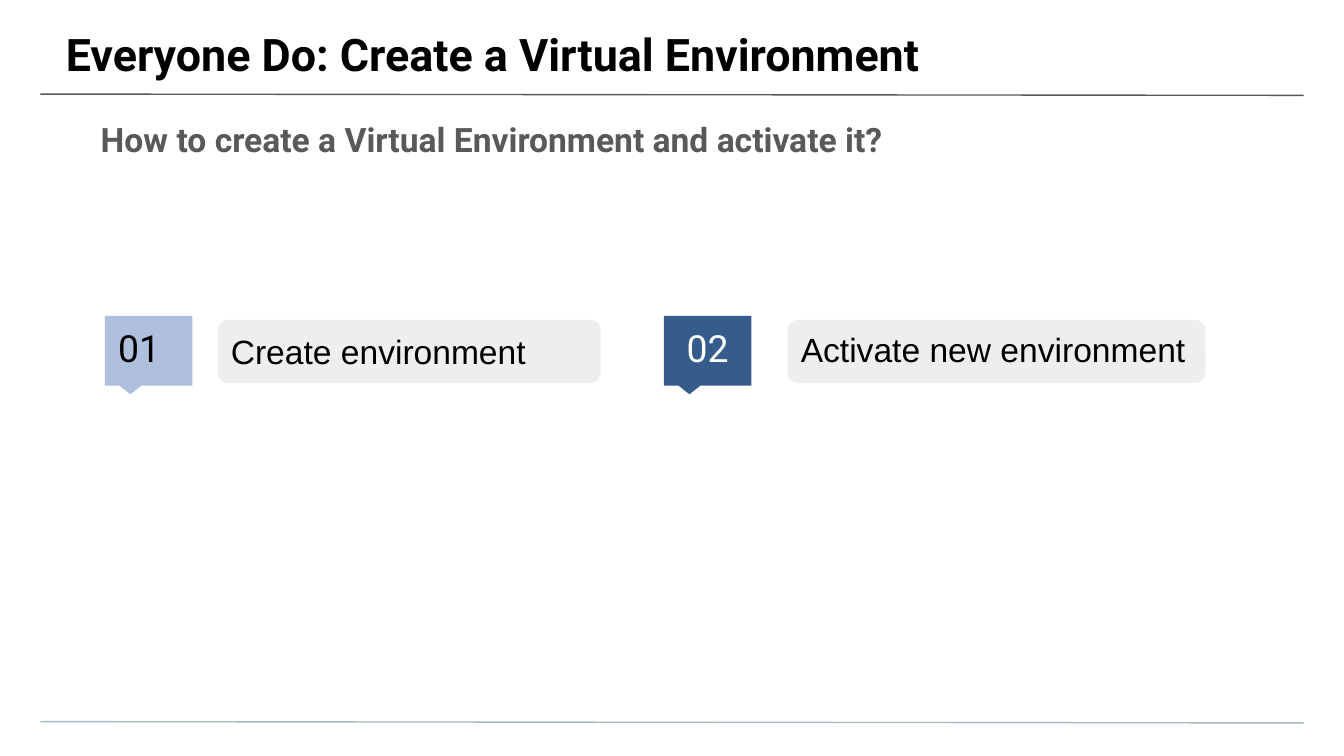
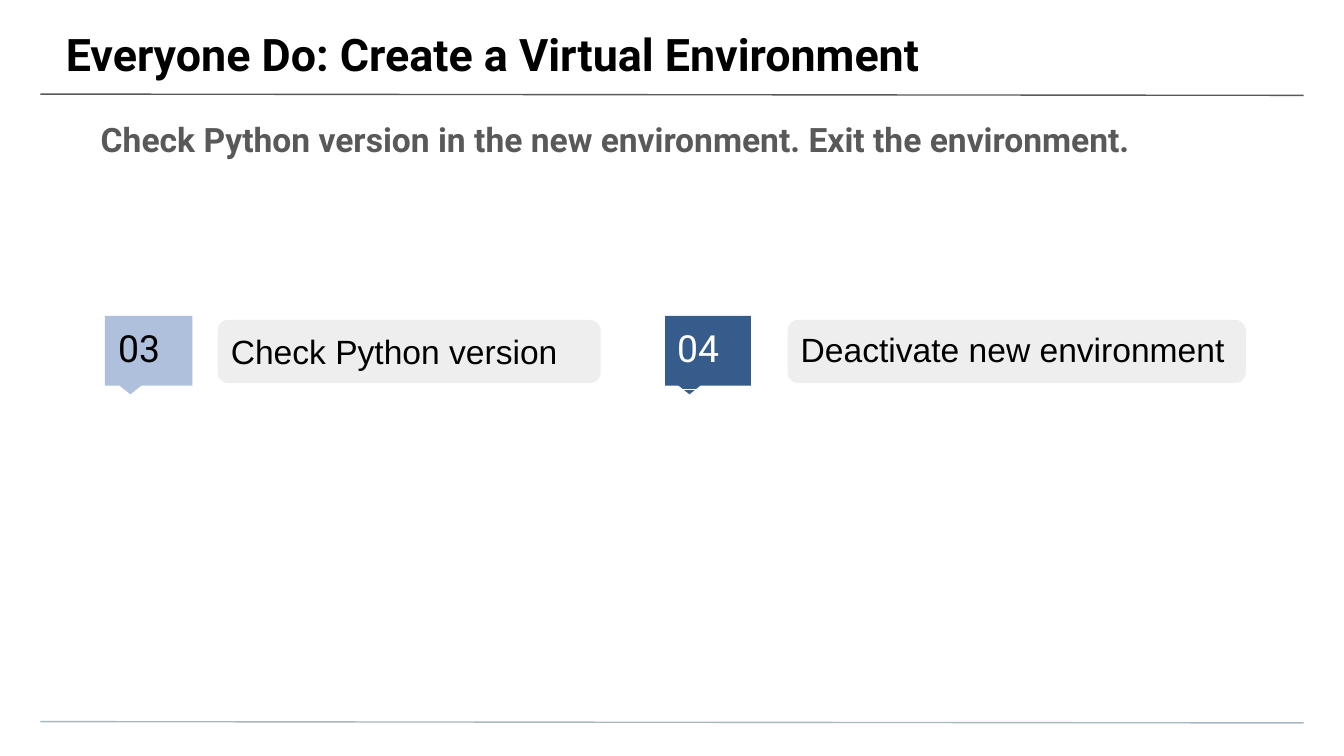
from dataclasses import dataclass
from typing import Any

import pptx
import pptx.dml.color
import pptx.enum.shapes
import pptx.enum.text
import pptx.oxml.ns
import pptx.util
from lxml import etree

Pt = pptx.util.Pt
ANCHOR = pptx.enum.text.MSO_ANCHOR
SHAPE = pptx.enum.shapes.MSO_SHAPE


# Look shared by both slides
@dataclass(frozen=True)
class Theme:
    black: str = "000000"
    white: str = "FFFFFF"
    grey: str = "595959"
    footer_rule: str = "A9B7C0"
    label_fill: str = "EEEEEE"
    pale_blue: str = "AFC0DC"
    deep_blue: str = "365C8B"
    heading_font: str = "Roboto"
    label_font: str = "Arial"
    title_size: float = 24
    number_size: float = 20
    body_size: float = 18
    rule_width: float = 0.75


THEME = Theme()
TITLE = "Everyone Do: Create a Virtual Environment"


@dataclass(frozen=True)
class Box:
    """Left, top, width and height in points."""
    left: float
    top: float
    width: float
    height: float

    def lengths(self) -> tuple[Any, ...]:
        return Pt(self.left), Pt(self.top), Pt(self.width), Pt(self.height)


@dataclass(frozen=True)
class Column:
    """Place and colours of one step."""
    callout_left: float
    label_left: float
    fill: str
    number_color: str
    label_anchor: Any


@dataclass(frozen=True)
class Step:
    number: str
    label: str
    label_width: float
    text_width: float
    number_box: Box
    outlined: bool = False


@dataclass(frozen=True)
class Page:
    question: str
    steps: tuple[Step, Step]


COLUMNS = (
    Column(56.2, 116.6, THEME.pale_blue, THEME.black, ANCHOR.MIDDLE),
    Column(355.7, 421.9, THEME.deep_blue, THEME.white, ANCHOR.TOP),
)

PAGES = (
    Page("How to create a Virtual Environment and activate it?", (
        Step("01", "Create environment", 205.2, 247.7, Box(56.2, 167, 37.4, 37.4)),
        Step("02", "Activate new environment", 223.9, 277.2, Box(360.7, 167, 37.4, 41.8)),
    )),
    Page("Check Python version in the new environment. Exit the environment.", (
        Step("03", "Check Python version", 205.2, 240.5, Box(56.2, 167, 46.8, 41.8)),
        Step("04", "Deactivate new environment", 245.5, 313.9,
             Box(355.7, 167, 46.8, 41.8), outlined=True),
    )),
)


def rgb(color: str) -> pptx.dml.color.RGBColor:
    return pptx.dml.color.RGBColor.from_string(color)


def add_text(slide: Any, text: str, box: Box, *, size: float, color: str, font: str,
             bold: bool = False, anchor: Any = ANCHOR.TOP, line_spacing: float = 1.0,
             insets: tuple[float, float, float, float] = (7.2, 7.2, 7.2, 7.2)) -> Any:
    """Insets run left, top, right, bottom."""
    text_box = slide.shapes.add_textbox(*box.lengths())
    frame = text_box.text_frame
    frame.word_wrap = True
    frame.auto_size = pptx.enum.text.MSO_AUTO_SIZE.NONE
    frame.vertical_anchor = anchor
    frame.margin_left, frame.margin_top, frame.margin_right, frame.margin_bottom = map(Pt, insets)
    paragraph = frame.paragraphs[0]
    paragraph.line_spacing = line_spacing
    run = paragraph.add_run()
    run.text = text
    run.font.name = font
    run.font.size = Pt(size)
    run.font.bold = bold
    run.font.color.rgb = rgb(color)
    return text_box


def add_panel(slide: Any, kind: Any, box: Box, fill: str, adjustments: tuple[float, ...]) -> None:
    panel = slide.shapes.add_shape(kind, *box.lengths())
    panel.shadow.inherit = False
    panel.fill.solid()
    panel.fill.fore_color.rgb = rgb(fill)
    panel.line.fill.background()
    for index, value in enumerate(adjustments):
        panel.adjustments[index] = value


def add_rule(slide: Any, top: float, color: str) -> None:
    rule = slide.shapes.add_connector(pptx.enum.shapes.MSO_CONNECTOR.STRAIGHT,
                                      Pt(21.6), Pt(top), Pt(698.4), Pt(top + 0.7))
    rule.line.color.rgb = rgb(color)
    rule.line.width = Pt(THEME.rule_width)
    etree.SubElement(rule._element.spPr, pptx.oxml.ns.qn("a:effectLst"))


def add_frame(slide: Any, question: str) -> None:
    """Rules, title and question line."""
    add_rule(slide, 50.4, THEME.grey)
    add_rule(slide, 386.6, THEME.footer_rule)
    add_text(slide, TITLE, Box(-0.7, 0, 722.2, 41.8), size=THEME.title_size, bold=True,
             color=THEME.black, font=THEME.heading_font, insets=(36, 14.4, 21.6, 7.2))
    add_text(slide, question, Box(0, 53.3, 720, 28.8), size=THEME.body_size, bold=True,
             color=THEME.grey, font=THEME.heading_font, line_spacing=1.15,
             insets=(54, 7.2, 36, 0))


def add_step(slide: Any, step: Step, column: Column) -> None:
    """Numbered callout with its label to the right."""
    add_panel(slide, SHAPE.ROUNDED_RECTANGULAR_CALLOUT,
              Box(column.callout_left, 169.2, 46.8, 37.4), column.fill, (-0.208, 0.625, 0))
    add_panel(slide, SHAPE.ROUNDED_RECTANGLE,
              Box(column.label_left, 171.4, step.label_width, 33.8), THEME.label_fill, (0.167,))
    number = add_text(slide, step.number, step.number_box, size=THEME.number_size,
                      color=column.number_color, font=THEME.heading_font)
    if step.outlined:
        number.line.color.rgb = rgb(THEME.white)
        number.line.width = Pt(THEME.rule_width)
    add_text(slide, step.label, Box(column.label_left, 169.2, step.text_width, 37.4),
             size=THEME.body_size, color=THEME.black, font=THEME.label_font,
             anchor=column.label_anchor)


def main() -> None:
    deck = pptx.Presentation()
    deck.slide_width, deck.slide_height = Pt(720), Pt(405)
    for page in PAGES:
        slide = deck.slides.add_slide(deck.slide_layouts[6])
        slide.background.fill.solid()
        slide.background.fill.fore_color.rgb = rgb(THEME.white)
        add_frame(slide, page.question)
        for step, column in zip(page.steps, COLUMNS):
            add_step(slide, step, column)
    deck.save("out.pptx")


if __name__ == "__main__":
    main()
